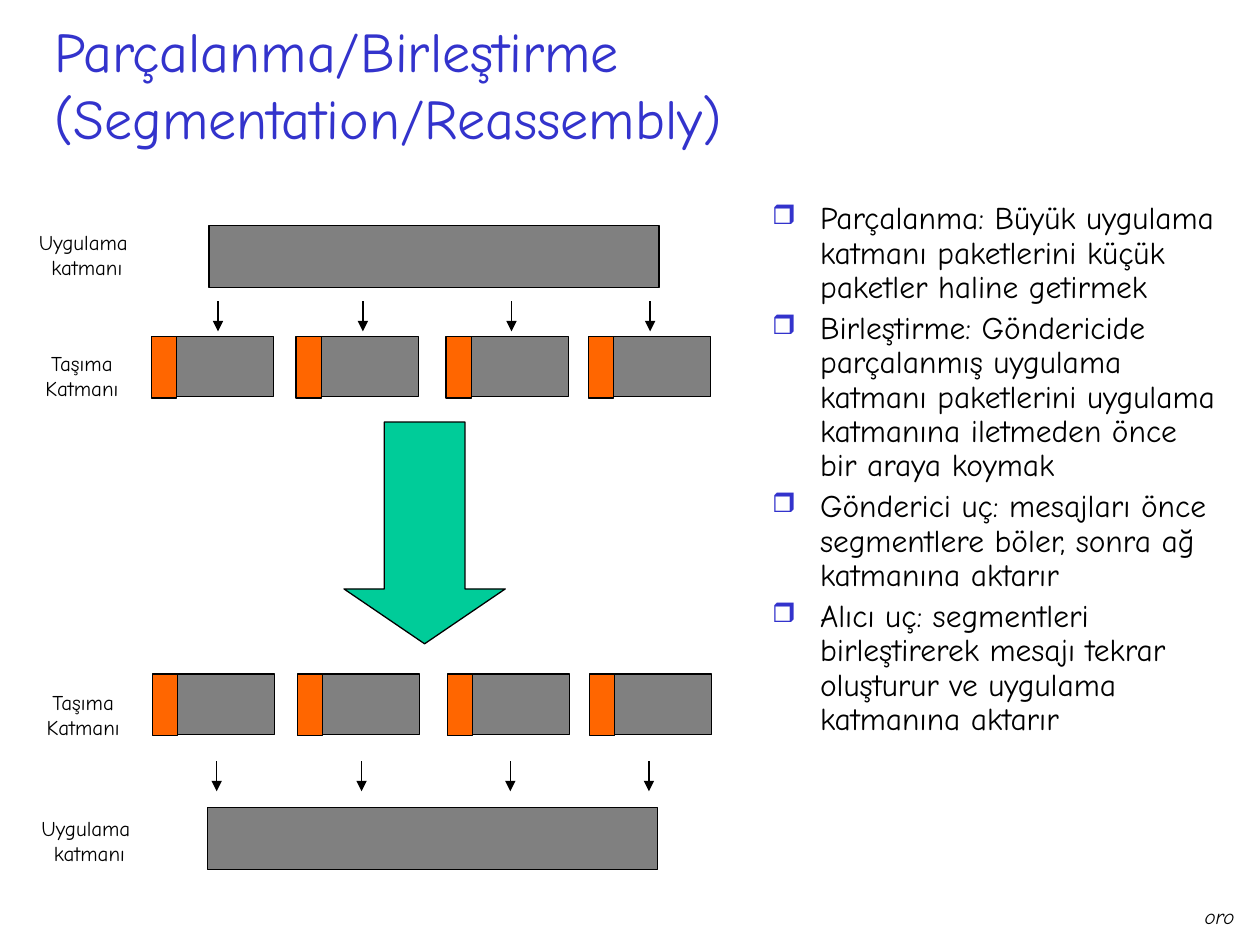
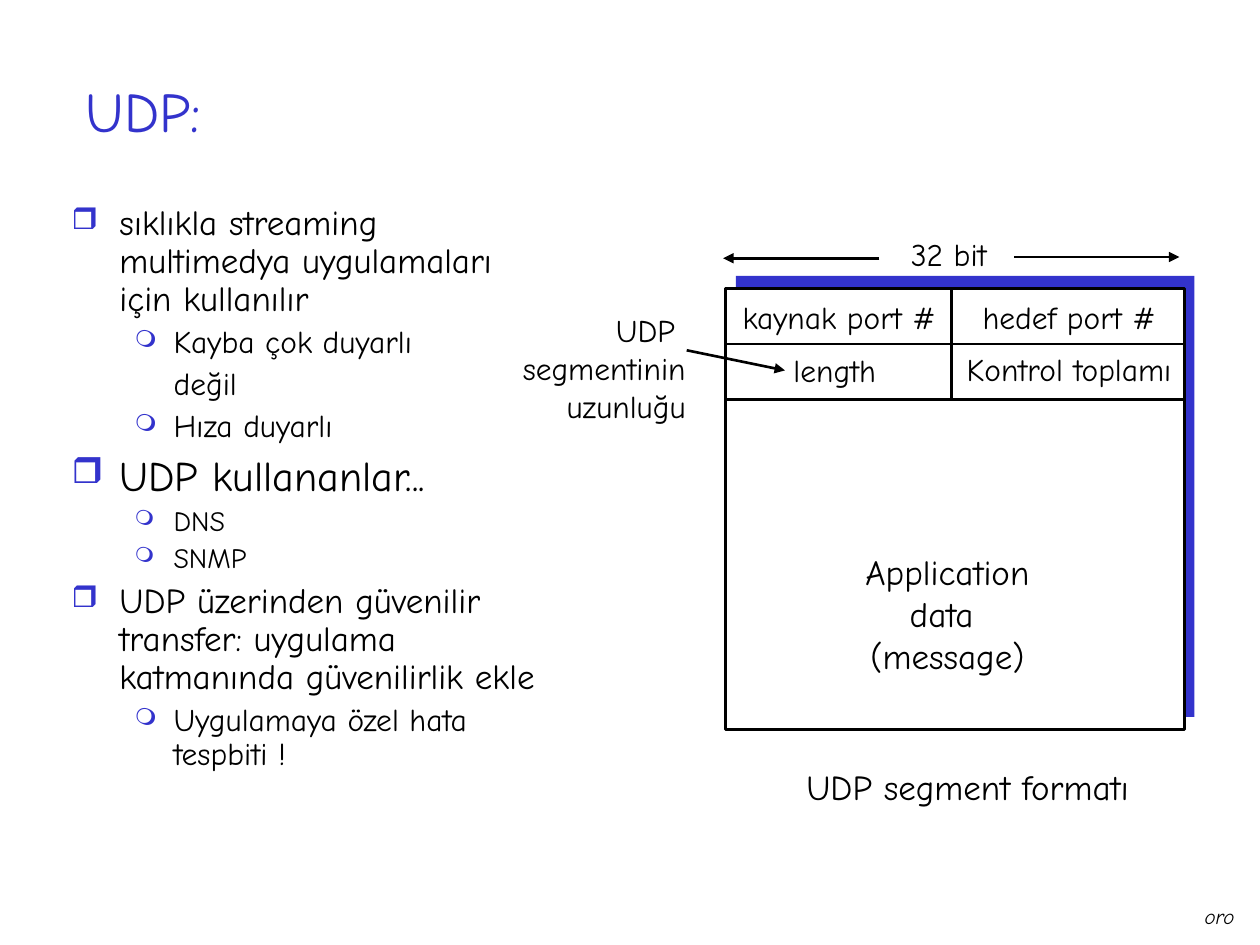
from typing import NamedTuple, Optional

from lxml.etree import SubElement
from pptx import Presentation
from pptx.dml.color import RGBColor
from pptx.enum.shapes import MSO_CONNECTOR, MSO_SHAPE
from pptx.enum.text import MSO_ANCHOR, MSO_AUTO_SIZE, PP_ALIGN
from pptx.oxml.ns import qn
from pptx.util import Inches, Pt

FONT = "Comic Neue"
BLACK, WHITE, BLUE = "000000", "FFFFFF", "3333CC"
GRAY, ORANGE, GREEN = "808080", "FF6600", "00CC99"


class Box(NamedTuple):
    left: float
    top: float
    width: float
    height: float


class Label(NamedTuple):
    box: Box
    lines: tuple[str, ...]
    size: float = 18
    align: PP_ALIGN = PP_ALIGN.CENTER
    italic: bool = False


class Line(NamedTuple):
    x1: float
    y1: float
    x2: float
    y2: float
    width: float = 1.5
    head: bool = False


class Mark(NamedTuple):
    char: str
    scale: int
    left: float
    hang: float


class Item(NamedTuple):
    text: str
    size: float
    mark: Mark


class Row(NamedTuple):
    top: float
    shift: float


SQUARE = Mark("❒", 85, 0.38, 0.38)
CIRCLE = Mark("❍", 75, 0.81, 0.31)
PLAIN = Mark("", 0, 0.81, 0)

FOOTER = Label(Box(9.46, 7.12, 0.44, 0.3), ("oro",), 12, italic=True)

HEADS = (1.2, 2.35, 3.54, 4.67)
DROPS = (1.73, 2.88, 4.06, 5.16)
PACKETS = (Row(2.67, 0), Row(5.35, 0.01))
FLOWS = (Row(2.39, 0), Row(6.04, -0.01))
BARS = (Box(1.66, 1.79, 3.57, 0.49), Box(1.65, 6.41, 3.57, 0.49))
APP = ("Uygulama ", "katmanı")
TRANSPORT = ("Taşıma", "Katmanı")
LAYERS = (
    Label(Box(0.21, 1.77, 0.96, 0.5), APP, 12),
    Label(Box(0.26, 2.73, 0.78, 0.5), TRANSPORT, 12),
    Label(Box(0.27, 5.42, 0.78, 0.5), TRANSPORT, 12),
    Label(Box(0.23, 6.42, 0.96, 0.5), APP, 12),
)
SPLIT = tuple(Item(text, 18, SQUARE) for text in (
    "Parçalanma: Büyük uygulama katmanı paketlerini küçük paketler haline getirmek",
    "Birleştirme: Göndericide parçalanmış uygulama katmanı paketlerini uygulama "
    "katmanına iletmeden önce bir araya koymak",
    "Gönderici uç: mesajları önce segmentlere böler, sonra ağ katmanına aktarır",
    "Alıcı uç: segmentleri birleştirerek mesajı tekrar oluşturur ve uygulama "
    "katmanına aktarır",
))

USES = (
    Item("sıklıkla streaming multimedya uygulamaları için kullanılır", 20, SQUARE),
    Item("Kayba çok duyarlı", 18, CIRCLE),
    Item("değil", 18, PLAIN),
    Item("Hıza duyarlı", 18, CIRCLE),
    Item("UDP kullananlar...", 24, SQUARE),
    Item("DNS", 16, CIRCLE),
    Item("SNMP", 16, CIRCLE),
    Item("UDP üzerinden güvenilir transfer: uygulama katmanında güvenilirlik ekle",
         20, SQUARE),
    Item("Uygulamaya özel hata tespbiti !", 18, CIRCLE),
)
FRAME = Box(5.76, 2.29, 3.64, 3.5)
SHADE = Box(5.84, 2.19, 3.64, 3.5)
SPLITX = 7.55
EDGES = (FRAME.top, 2.73, 3.17)
FIELDS = (
    Label(Box(5.79, 2.32, 1.74, 0.4), ("kaynak port #",)),
    Label(Box(7.68, 2.32, 1.61, 0.4), ("hedef port #",)),
    Label(Box(6.18, 2.74, 0.89, 0.4), ("length",)),
    Label(Box(7.57, 2.73, 1.83, 0.4), ("Kontrol toplamı",)),
    Label(Box(7.13, 1.82, 0.8, 0.4), ("32 bit",)),
    Label(Box(6.77, 4.32, 1.5, 1.1), ("Application", "data ", "(message)"), 20),
    Label(Box(6.3, 6.03, 2.76, 0.44), ("UDP segment formatı",), 20),
    Label(Box(4.05, 2.42, 1.49, 1), ("UDP ", "segmentinin", "uzunluğu"),
          align=PP_ALIGN.RIGHT),
)
ARROWS = (
    Line(8.05, 2.04, 9.36, 2.04, head=True),
    Line(6.98, 2.05, 5.74, 2.05, head=True),
    Line(5.45, 2.78, 6.23, 2.94, head=True),
)


def color(code: str) -> RGBColor:
    """Turn a hex string into a colour."""
    return RGBColor.from_string(code)


def place(box: Box) -> tuple:
    """Give a box as lengths."""
    return tuple(Inches(value) for value in box)


def write(para, text: str, size: float, code: str = BLACK, italic: bool = False) -> None:
    """Add one formatted run to a paragraph."""
    run = para.add_run()
    run.text = text
    run.font.name = FONT
    run.font.size = Pt(size)
    run.font.italic = italic
    run.font.color.rgb = color(code)


def add_label(slide, label: Label) -> None:
    """Draw an unwrapped text label that grows with its text."""
    frame = slide.shapes.add_textbox(*place(label.box)).text_frame
    frame.word_wrap = False
    frame.auto_size = MSO_AUTO_SIZE.SHAPE_TO_FIT_TEXT
    for index, text in enumerate(label.lines):
        para = frame.add_paragraph() if index else frame.paragraphs[0]
        para.alignment = label.align
        write(para, text, label.size, italic=label.italic)


def set_mark(para, mark: Mark) -> None:
    """Set the indents and the bullet of a paragraph."""
    props = para._p.get_or_add_pPr()
    props.set("marL", str(Inches(mark.left)))
    props.set("indent", str(-Inches(mark.hang)))
    if not mark.char:
        SubElement(props, qn("a:buNone"))
        return
    tint = SubElement(props, qn("a:buClr"))
    SubElement(tint, qn("a:srgbClr")).set("val", BLUE)
    SubElement(props, qn("a:buSzPct")).set("val", str(mark.scale * 1000))
    SubElement(props, qn("a:buChar")).set("char", mark.char)


def add_list(slide, box: Box, items: tuple[Item, ...]) -> None:
    """Draw a bulleted list with spacing in step with the text size."""
    frame = slide.shapes.add_textbox(*place(box)).text_frame
    frame.word_wrap = True
    for index, item in enumerate(items):
        para = frame.add_paragraph() if index else frame.paragraphs[0]
        set_mark(para, item.mark)
        para.line_spacing = 0.9
        if index:
            para.space_before = Pt(item.size / 4)
        write(para, item.text, item.size)


def add_block(slide, box: Box, fill: str, line: Optional[float] = 0.75,
              kind: MSO_SHAPE = MSO_SHAPE.RECTANGLE):
    """Draw a filled shape, outlined in black if a line width is given."""
    shape = slide.shapes.add_shape(kind, *place(box))
    shape.shadow.inherit = False
    shape.fill.solid()
    shape.fill.fore_color.rgb = color(fill)
    if line is None:
        shape.line.fill.background()
    else:
        shape.line.color.rgb = color(BLACK)
        shape.line.width = Pt(line)
    return shape


def add_line(slide, line: Line) -> None:
    """Draw a straight black line, with an arrowhead if asked."""
    ends = (Inches(value) for value in line[:4])
    link = slide.shapes.add_connector(MSO_CONNECTOR.STRAIGHT, *ends)
    link.line.color.rgb = color(BLACK)
    link.line.width = Pt(line.width)
    if line.head:
        SubElement(link.line._get_or_add_ln(), qn("a:tailEnd")).set("type", "triangle")
    SubElement(link._element.spPr, qn("a:effectLst"))


def add_slide(deck, title: str, box: Box):
    """Start a slide with the shared title style and footer."""
    slide = deck.slides.add_slide(deck.slide_layouts[5])
    shape = slide.shapes.title
    shape.left, shape.top, shape.width, shape.height = place(box)
    frame = shape.text_frame
    frame.auto_size = MSO_AUTO_SIZE.NONE
    frame.word_wrap = True
    frame.vertical_anchor = MSO_ANCHOR.MIDDLE
    para = frame.paragraphs[0]
    para.alignment = PP_ALIGN.LEFT
    write(para, title, 32, BLUE)
    add_label(slide, FOOTER)
    return slide


def draw_split(deck) -> None:
    """Build the segmentation and reassembly slide."""
    slide = add_slide(deck, "Parçalanma/Birleştirme (Segmentation/Reassembly)",
                      Box(0.33, 0.25, 6.79, 0.83))
    add_list(slide, Box(6.03, 1.56, 3.72, 5.39), SPLIT)
    for bar in BARS:
        add_block(slide, bar, GRAY)
    for row in PACKETS:
        for head in HEADS:
            left = head + row.shift
            add_block(slide, Box(left + 0.2, row.top, 0.77, 0.48), GRAY)
            add_block(slide, Box(left, row.top, 0.2, 0.49), ORANGE)
    for row in FLOWS:
        for drop in DROPS:
            x = drop + row.shift
            add_line(slide, Line(x, row.top, x, row.top + 0.24, 0.75, True))
    arrow = add_block(slide, Box(2.73, 3.35, 1.28, 1.76), GREEN,
                      kind=MSO_SHAPE.DOWN_ARROW)
    arrow.adjustments[0] = 0.5
    arrow.adjustments[1] = 0.34
    for label in LAYERS:
        add_label(slide, label)


def draw_udp(deck) -> None:
    """Build the UDP slide with its segment format."""
    slide = add_slide(deck, "UDP:", Box(0.58, 0.25, 9.12, 1.25))
    add_list(slide, Box(0.47, 1.58, 3.97, 5.08), USES)
    add_block(slide, SHADE, BLUE, None)
    add_block(slide, FRAME, WHITE, 1.5)
    for top, base in zip(EDGES, EDGES[1:]):
        add_line(slide, Line(FRAME.left, base, FRAME.left + FRAME.width, base))
        add_line(slide, Line(SPLITX, base, SPLITX, top))
    for label in FIELDS:
        add_label(slide, label)
    for arrow in ARROWS:
        add_line(slide, arrow)


def main() -> None:
    """Build and save the deck."""
    deck = Presentation()
    deck.slide_width, deck.slide_height = Inches(10), Inches(7.5)
    draw_split(deck)
    draw_udp(deck)
    deck.save("out.pptx")


if __name__ == "__main__":
    main()
